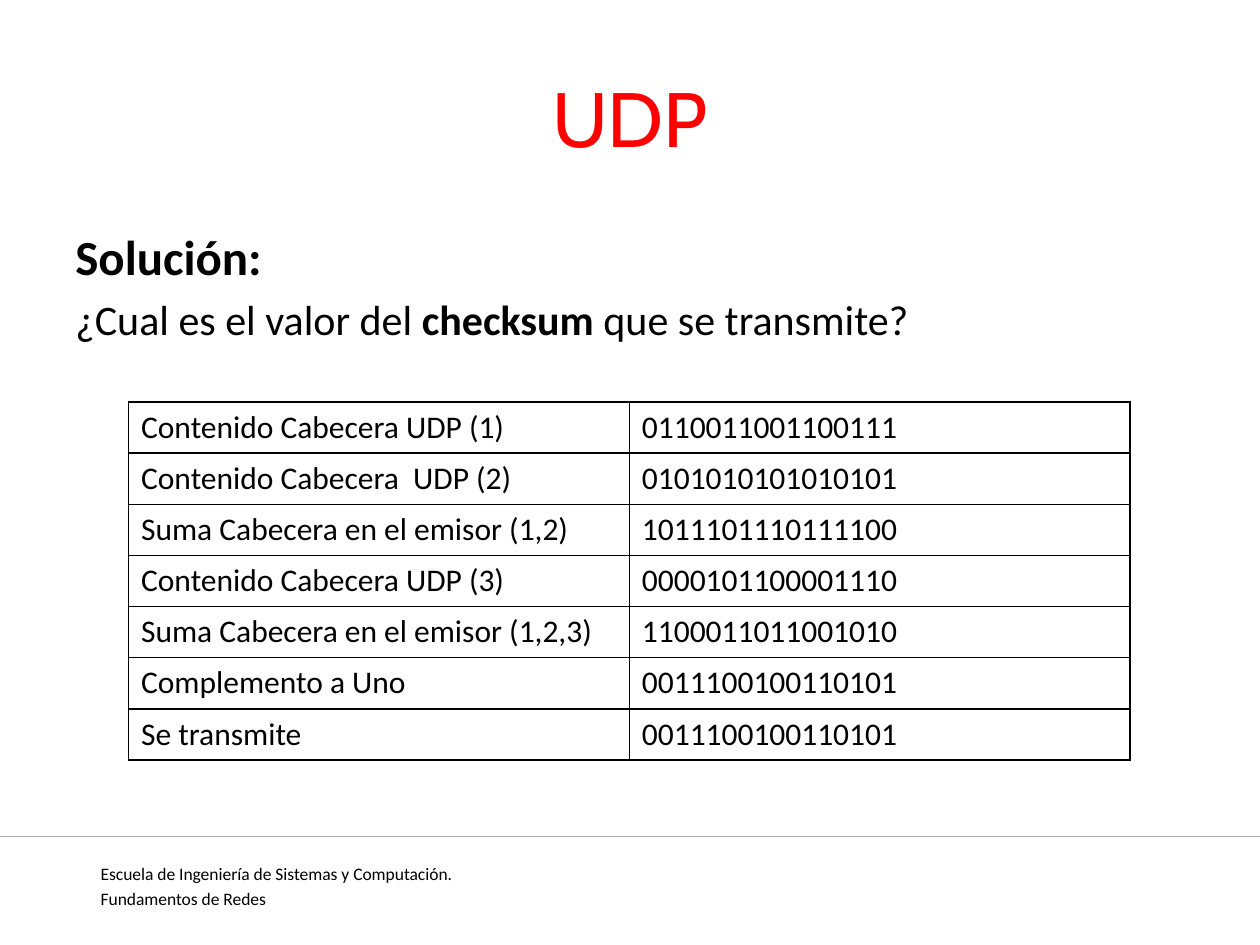
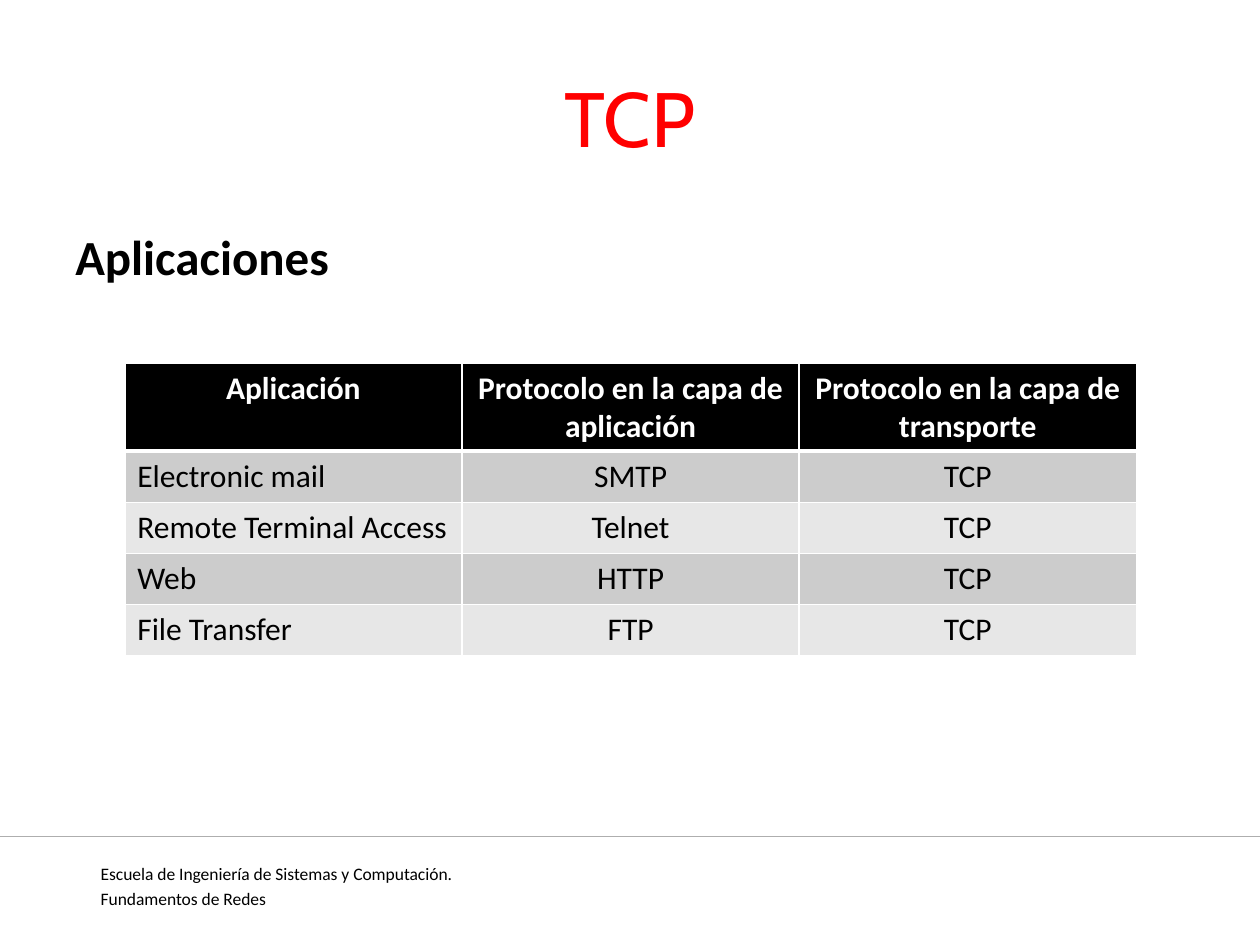
from lxml import etree
from pptx import Presentation
from pptx.dml.color import RGBColor
from pptx.enum.shapes import MSO_CONNECTOR
from pptx.enum.text import MSO_ANCHOR, PP_ALIGN
from pptx.oxml.ns import qn
from pptx.util import Inches, Pt

LEFT, CENTER, JUSTIFY = PP_ALIGN.LEFT, PP_ALIGN.CENTER, PP_ALIGN.JUSTIFY
TOP, MIDDLE = MSO_ANCHOR.TOP, MSO_ANCHOR.MIDDLE
STRAIGHT = MSO_CONNECTOR.STRAIGHT

# Shared look
BLACK, WHITE, RED, GREY = "000000", "FFFFFF", "FF0000", "AEAEAE"
BANDS = ("CCCCCC", "E7E7E7")
TITLE = {"name": "Cabin", "size": Pt(44), "bold": False}
HEADING = {"name": "Calibri", "size": Pt(28), "bold": True}
BODY = {"name": "Calibri", "size": Pt(24), "bold": False}
STRONG = {**BODY, "bold": True}
CELL = {**BODY, "size": Pt(18)}
HEADER = {**CELL, "bold": True}
FOOTER = {**BODY, "size": Pt(10)}

ROW_HEIGHT = 0.406
FOOTER_LINES = ("Escuela de Ingeniería de Sistemas y Computación.",
                "Fundamentos de Redes")

CHECKSUM_ROWS = [
    ("Contenido Cabecera UDP (1)", "0110011001100111"),
    ("Contenido Cabecera  UDP (2)", "0101010101010101"),
    ("Suma Cabecera en el emisor (1,2)", "1011101110111100"),
    ("Contenido Cabecera UDP (3)", "0000101100001110"),
    ("Suma Cabecera en el emisor (1,2,3)", "1100011011001010"),
    ("Complemento a Uno", "0011100100110101"),
    ("Se transmite", "0011100100110101"),
]
APPLICATION_ROWS = [
    ("Aplicación", "Protocolo en la capa de aplicación",
     "Protocolo en la capa de transporte"),
    ("Electronic mail", "SMTP", "TCP"),
    ("Remote Terminal Access", "Telnet", "TCP"),
    ("Web", "HTTP", "TCP"),
    ("File Transfer", "FTP", "TCP"),
]


def rgb(value):
    return RGBColor.from_string(value)


def add_run(p, text, style, color=BLACK):
    r = p.add_run()
    r.text = text
    for name, value in style.items():
        setattr(r.font, name, value)
    r.font.color.rgb = rgb(color)


def add_text(slide, box, paragraphs, align=JUSTIFY, anchor=TOP, color=BLACK):
    """Each paragraph is a list of (text, style) runs."""
    tf = slide.shapes.add_textbox(*map(Inches, box)).text_frame
    tf.word_wrap = True
    tf.vertical_anchor = anchor
    for i, runs in enumerate(paragraphs):
        p = tf.add_paragraph() if i else tf.paragraphs[0]
        p.alignment = align
        # Space above later paragraphs is a fifth of their text size
        p.space_before = Pt(0.2 * runs[0][1]["size"].pt if i else 0)
        for text, style in runs:
            add_run(p, text, style, color)


def add_rule(slide, y):
    line = slide.shapes.add_connector(
        STRAIGHT, Inches(0), Inches(y), Inches(10), Inches(y))
    line.line.color.rgb = rgb(GREY)
    line.line.width = Pt(0.75)
    etree.SubElement(line._element.spPr, qn("a:effectLst"))


def set_borders(cell, color, top=1, bottom=1):
    tc_pr = cell._tc.get_or_add_tcPr()
    for side, width in (("L", 1), ("R", 1), ("T", top), ("B", bottom)):
        ln = etree.SubElement(tc_pr, qn(f"a:ln{side}"), w=str(Pt(width)))
        fill = etree.SubElement(ln, qn("a:solidFill"))
        etree.SubElement(fill, qn("a:srgbClr"), val=color)


def fill_cell(cell, text, style, color=BLACK, align=LEFT, fill=None):
    p = cell.text_frame.paragraphs[0]
    p.alignment = align
    add_run(p, text, style, color)
    if fill:
        cell.fill.solid()
        cell.fill.fore_color.rgb = rgb(fill)
    else:
        cell.fill.background()


def add_grid(slide, left, top, width, heights, columns):
    frame = slide.shapes.add_table(
        len(heights), columns, *map(Inches, (left, top, width, sum(heights))))
    table = frame.table
    table.first_row = table.horz_banding = False
    for row, height in zip(table.rows, heights):
        row.height = Inches(height)
    return table


def add_plain_table(slide, rows):
    table = add_grid(slide, 1.02, 3.19, 7.95, [ROW_HEIGHT] * len(rows), 2)
    for i, row in enumerate(rows):
        for j, text in enumerate(row):
            cell = table.cell(i, j)
            set_borders(cell, BLACK)
            fill_cell(cell, text, CELL)


def add_banded_table(slide, rows):
    heights = [0.7] + [ROW_HEIGHT] * (len(rows) - 1)
    table = add_grid(slide, 0.99, 2.88, 8.03, heights, 3)
    for i, row in enumerate(rows):
        for j, text in enumerate(row):
            cell = table.cell(i, j)
            # A thick rule parts the header from the body
            set_borders(cell, WHITE, top=3 if i == 1 else 1,
                        bottom=3 if i == 0 else 1)
            if i == 0:
                fill_cell(cell, text, HEADER, WHITE, CENTER, BLACK)
            else:
                fill_cell(cell, text, CELL, BLACK, CENTER if j else LEFT,
                          BANDS[(i - 1) % 2])


def add_base_slide(prs, title, paragraphs):
    slide = prs.slides.add_slide(prs.slide_layouts[6])
    add_text(slide, (0.7, 6.8, 8.98, 0.39),
             [[(line, FOOTER)] for line in FOOTER_LINES])
    add_text(slide, (0.5, 0.3, 9, 1.25), [[(title, TITLE)]],
             CENTER, MIDDLE, RED)
    add_text(slide, (0.5, 1.75, 9, 4.95), paragraphs)
    add_rule(slide, 6.64)
    return slide


def main():
    prs = Presentation()
    prs.slide_width, prs.slide_height = Inches(10), Inches(7.5)

    # UDP checksum
    slide = add_base_slide(prs, "UDP", [
        [("Solución:", HEADING)],
        [("¿Cual es el valor del ", BODY), ("checksum", STRONG),
         (" que se transmite?", BODY)],
    ])
    add_plain_table(slide, CHECKSUM_ROWS)

    # TCP applications
    slide = add_base_slide(prs, "TCP", [[("Aplicaciones", HEADING)]])
    add_banded_table(slide, APPLICATION_ROWS)

    prs.save("out.pptx")


if __name__ == "__main__":
    main()
